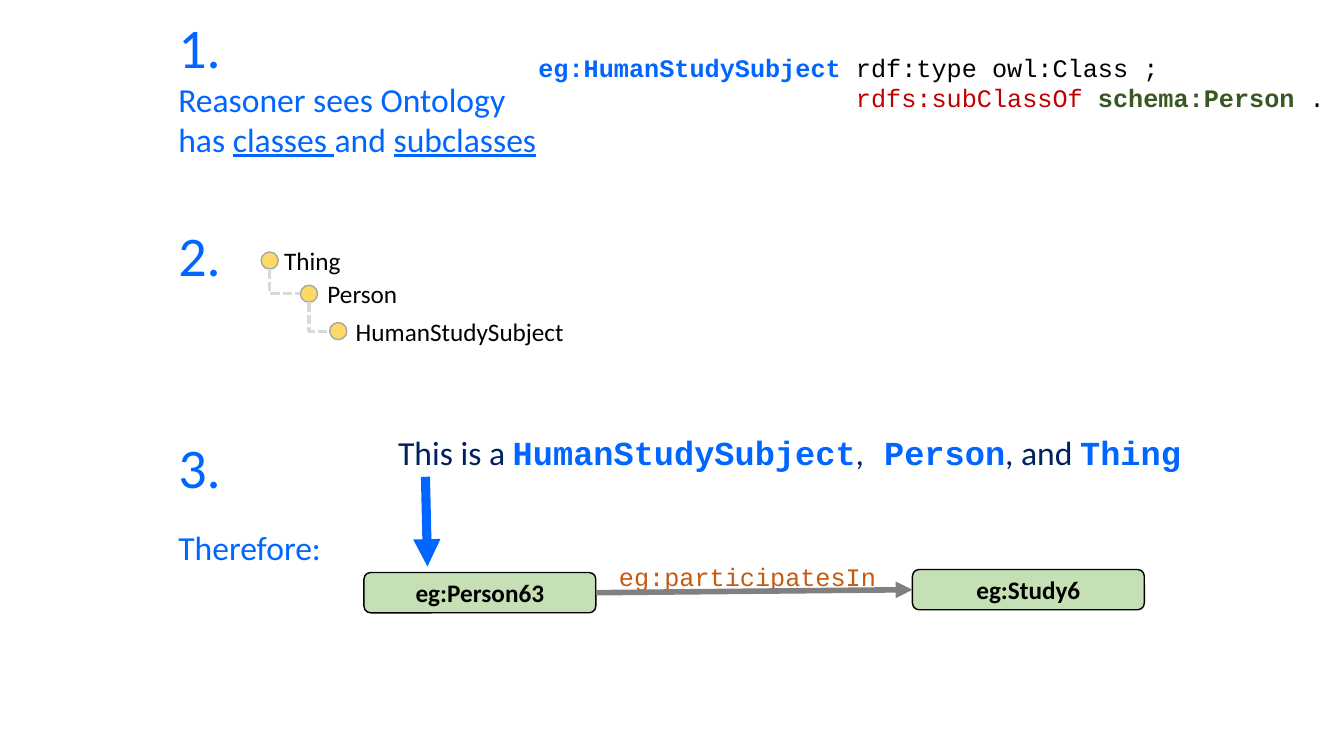
from pptx import Presentation
from pptx.dml.color import RGBColor
from pptx.enum.dml import MSO_LINE
from pptx.enum.shapes import MSO_CONNECTOR as LINK, MSO_SHAPE as SHAPE
from pptx.enum.text import MSO_ANCHOR, PP_ALIGN
from pptx.oxml.ns import qn
from pptx.util import Inches, Pt
from lxml import etree

COLORS = {
    "blue": "0066FF", "navy": "002060", "black": "000000", "red": "C00000",
    "forest": "385723", "orange": "C55A11", "green": "C5E0B4",
    "yellow": "FFD966", "ring": "A6A6A6", "gray": "808080", "pale": "D9D9D9",
}
CODE = "Courier New"


def color(name):
    return RGBColor.from_string(COLORS[name])


def write(text, frame, size=18, font="Calibri", ink="black", bold=False,
          wrap=True, align=PP_ALIGN.LEFT):
    frame.word_wrap = wrap
    lines = [[(text, {})]] if isinstance(text, str) else text
    for index, line in enumerate(lines):
        paragraph = frame.paragraphs[0] if index == 0 else frame.add_paragraph()
        paragraph.alignment = align
        for words, own in line:
            run = paragraph.add_run()
            run.text = words
            run.font.size = Pt(size)
            run.font.name = own.get("font", font)
            run.font.bold = own.get("bold", bold)
            run.font.underline = own.get("underline", False)
            run.font.color.rgb = color(own.get("ink", ink))


prs = Presentation()
prs.slide_width, prs.slide_height = Inches(13.33), Inches(7.5)
slide = prs.slides.add_slide(prs.slide_layouts[6])
shapes = slide.shapes

definition = [
    [("eg:HumanStudySubject ", {"ink": "blue", "bold": True}),
     ("rdf:type owl:Class ;", {})],
    [(" " * 21, {}), ("rdfs:subClassOf ", {"ink": "red"}),
     ("schema:Person ", {"ink": "forest", "bold": True}), (".", {})],
]
finding = [
    [("Reasoner sees Ontology", {})],
    [("has ", {}), ("classes ", {"underline": True}), ("and ", {}),
     ("subclasses", {"underline": True})],
]
inferred = {"font": CODE, "ink": "blue", "bold": True}
conclusion = [[
    ("This is a ", {}), ("HumanStudySubject", inferred), (",", {}),
    (" Person", inferred), (", and ", {}), ("Thing", inferred),
]]

step_format = {"size": 40, "ink": "blue"}
label_format = {"size": 24, "ink": "blue", "wrap": False}
texts = [
    (definition, 5.24, 0.47, 8.19, 0.71, {"font": CODE}),
    (finding, 1.67, 0.73, 3.79, 0.91, label_format),
    (conclusion, 3.85, 4.24, 8.15, 0.5, {"size": 24, "ink": "navy", "wrap": False}),
    ("1.", 1.67, 0.08, 0.72, 0.77, step_format),
    ("2.", 1.67, 2.14, 0.72, 0.77, step_format),
    ("3.", 1.67, 4.24, 0.72, 0.77, step_format),
    ("Therefore:", 1.67, 5.18, 1.63, 0.5, label_format),
    ("eg:participatesIn", 6.04, 5.52, 3.14, 0.4, {"font": CODE, "ink": "orange"}),
    ("Thing", 2.72, 2.38, 0.77, 0.4, {"wrap": False}),
    ("Person", 3.15, 2.71, 0.9, 0.4, {"wrap": False}),
    ("HumanStudySubject", 3.43, 3.09, 2.29, 0.4, {"wrap": False}),
]
for text, left, top, width, height, style in texts:
    box = shapes.add_textbox(Inches(left), Inches(top), Inches(width), Inches(height))
    write(text, box.text_frame, **style)

individuals = []
for name, left, top in [("eg:Person63", 3.61, 5.68), ("eg:Study6", 9.05, 5.65)]:
    individual = shapes.add_shape(SHAPE.ROUNDED_RECTANGLE, Inches(left), Inches(top),
                                  Inches(2.3), Inches(0.4))
    individual.shadow.inherit = False
    individual.fill.solid()
    individual.fill.fore_color.rgb = color("green")
    individual.line.color.rgb = color("black")
    individual.line.width = Pt(1)
    individual.text_frame.vertical_anchor = MSO_ANCHOR.MIDDLE
    write(name, individual.text_frame, bold=True, align=PP_ALIGN.CENTER)
    individuals.append(individual)
person, study = individuals

inference = shapes.add_connector(LINK.STRAIGHT, Inches(4.22), Inches(4.73),
                                 Inches(4.24), Inches(5.62))
participation = shapes.add_connector(LINK.STRAIGHT, Inches(5.91), Inches(5.88),
                                     Inches(9.05), Inches(5.85))
participation.begin_connect(person, 3)
participation.end_connect(study, 1)

dot = 0.17
nodes = [(2.59, 2.5), (2.98, 2.83), (3.27, 3.2)]
for left, top in nodes:
    node = shapes.add_shape(SHAPE.OVAL, Inches(left), Inches(top), Inches(dot), Inches(dot))
    node.shadow.inherit = False
    node.fill.solid()
    node.fill.fore_color.rgb = color("yellow")
    node.line.color.rgb = color("ring")
    node.line.width = Pt(1)

branches = []
for (parent_x, parent_y), (child_x, child_y) in zip(nodes, nodes[1:]):
    start_x, start_y = parent_x + dot / 2, parent_y + dot
    end_x, end_y = child_x, child_y + dot / 2
    middle_x, middle_y = (start_x + end_x) / 2, (start_y + end_y) / 2
    half_run, half_drop = (end_x - start_x) / 2, (end_y - start_y) / 2
    branch = shapes.add_connector(
        LINK.ELBOW, Inches(middle_x + half_drop), Inches(middle_y - half_run),
        Inches(middle_x - half_drop), Inches(middle_y + half_run))
    properties = branch._element.spPr
    properties.find(qn("a:xfrm")).set("rot", str(270 * 60000))
    properties.find(qn("a:prstGeom")).set("prst", "bentConnector2")
    branch.line.dash_style = MSO_LINE.SQUARE_DOT
    branches.append(branch)

strokes = [(inference, "blue", 6.5, True), (participation, "gray", 4, True)]
strokes += [(branch, "pale", 2.25, False) for branch in branches]
for link, ink, weight, has_head in strokes:
    link.line.color.rgb = color(ink)
    link.line.width = Pt(weight)
    if has_head:
        etree.SubElement(link.line._get_or_add_ln(), qn("a:tailEnd"), type="triangle")
    etree.SubElement(link._element.spPr, qn("a:effectLst"))

prs.save("out.pptx")
